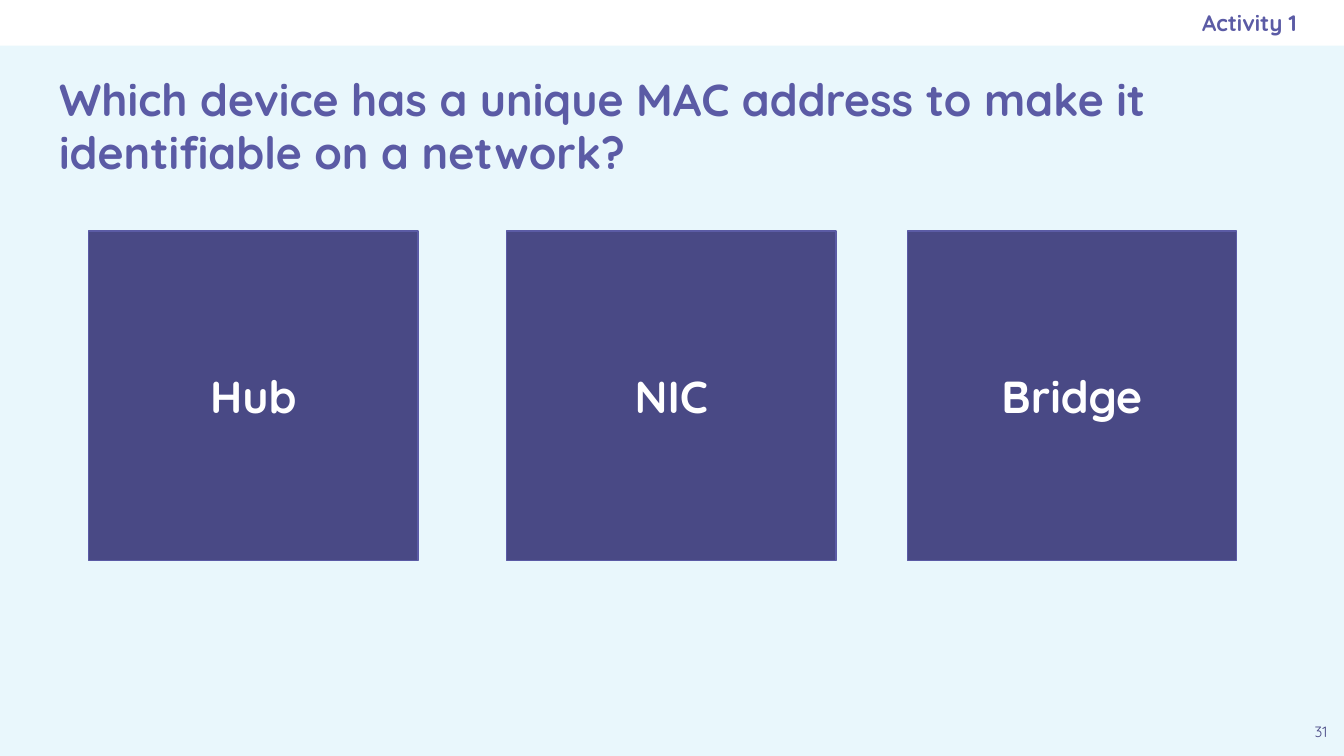
from pptx import Presentation
from pptx import util as u
from pptx.dml.color import RGBColor
from pptx.enum import shapes, text

FONT = "Quicksand"
COLOURS = {
    "background": "E9F7FC",
    "white": "FFFFFF",
    "violet": "5B5BA5",
    "indigo": "494985",
}
LEFT, CENTRE, RIGHT = text.PP_ALIGN.LEFT, text.PP_ALIGN.CENTER, text.PP_ALIGN.RIGHT
TOP, MIDDLE = text.MSO_ANCHOR.TOP, text.MSO_ANCHOR.MIDDLE


def colour(name):
    return RGBColor.from_string(COLOURS[name])


def place(box, left, top, width, height):
    box.left, box.top = u.Inches(left), u.Inches(top)
    box.width, box.height = u.Inches(width), u.Inches(height)


def write(box, words, size, ink, align, anchor=MIDDLE, bold=True, right_inset=0.1):
    frame = box.text_frame
    frame.text = words
    frame.word_wrap = True
    frame.auto_size = text.MSO_AUTO_SIZE.NONE
    frame.vertical_anchor = anchor
    frame.margin_left = frame.margin_top = frame.margin_bottom = u.Inches(0.1)
    frame.margin_right = u.Inches(right_inset)
    para = frame.paragraphs[0]
    para.alignment = align
    para.line_spacing = 1.0
    para.space_before = u.Pt(0)
    for span in para.runs:
        span.font.name = FONT
        span.font.size = u.Pt(size)
        span.font.bold = bold
        span.font.color.rgb = colour(ink)


def add_rectangle(page, area, fill, line=None):
    box = page.shapes.add_shape(shapes.MSO_SHAPE.RECTANGLE, *map(u.Inches, area))
    box.shadow.inherit = False
    box.fill.solid()
    box.fill.fore_color.rgb = colour(fill)
    if line:
        box.line.color.rgb = colour(line)
        box.line.width = u.Pt(0.75)
    else:
        box.line.fill.background()
    return box


def add_answer(page, words, left):
    box = add_rectangle(page, (left, 1.72, 2.45, 2.45), "indigo", "violet")
    write(box, words, 24, "white", CENTRE)


def main():
    # Widescreen page, 16:9
    deck = Presentation()
    deck.slide_width = u.Inches(10)
    deck.slide_height = u.Inches(10 * 9 / 16)
    page = deck.slides.add_slide(deck.slide_layouts[0])
    page.background.fill.solid()
    page.background.fill.fore_color.rgb = colour("background")

    # White band across the top, behind the placeholders
    band = add_rectangle(page, (0, 0, 10, 0.34), "white")
    page.shapes.title._element.addprevious(band._element)

    # Question and activity label
    title = page.shapes.title
    place(title, 0.34, 0.55, 9.32, 0.76)
    write(title, "Which device has a unique MAC address to make it "
          "identifiable on a network?", 24, "violet", LEFT)

    activity = page.placeholders[1]
    place(activity, 5.75, 0, 3.9, 0.34)
    write(activity, "Activity 1", 12, "violet", RIGHT, right_inset=0)

    # Answer squares
    for words, left in (("Hub", 0.66), ("NIC", 3.77), ("Bridge", 6.75)):
        add_answer(page, words, left)

    # Page number
    number = page.shapes.add_textbox(*map(u.Inches, (9.66, 5.28, 0.34, 0.34)))
    write(number, "31", 8, "indigo", CENTRE, anchor=TOP, bold=False)

    deck.save("out.pptx")


if __name__ == "__main__":
    main()
